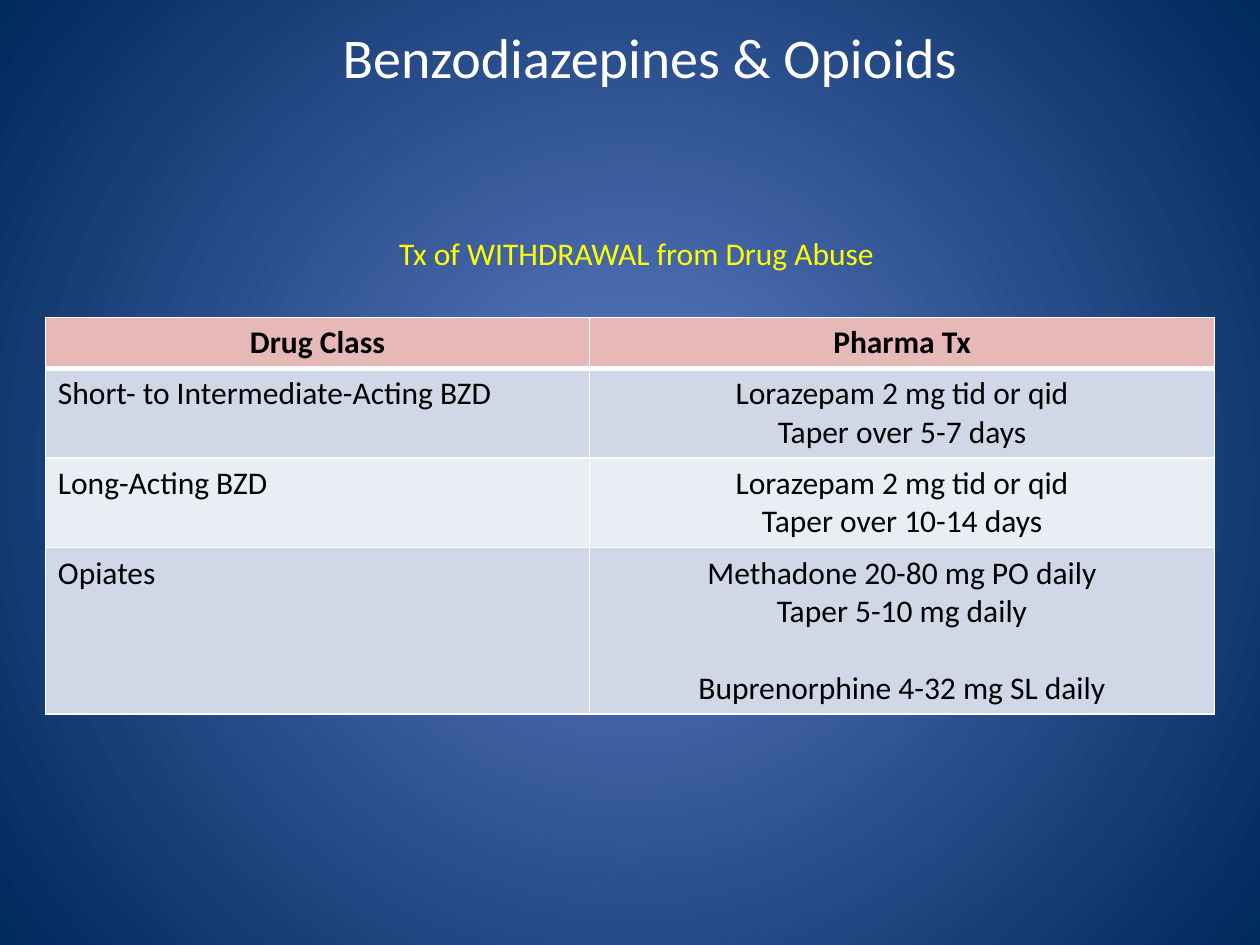
"""Build a slide on withdrawal treatment for benzodiazepines and opioids."""
import lxml.etree
import pptx
import pptx.dml.color
import pptx.enum.text
import pptx.oxml
import pptx.oxml.ns
import pptx.util

Inches, Pt = pptx.util.Inches, pptx.util.Pt
PP_ALIGN = pptx.enum.text.PP_ALIGN
ANCHOR = pptx.enum.text.MSO_ANCHOR

TITLE = "Benzodiazepines & Opioids"
SUBTITLE = "Tx of WITHDRAWAL from Drug Abuse"
HEADER = ("Drug Class", "Pharma Tx")
TREATMENTS = [
    ("Short- to Intermediate-Acting BZD", [["Lorazepam 2 mg tid or qid", "Taper over 5-7 days"]]),
    ("Long-Acting BZD", [["Lorazepam 2 mg tid or qid", "Taper over 10-14 days"]]),
    ("Opiates", [["Methadone 20-80 mg PO daily", "Taper 5-10 mg daily"],
                 ["Buprenorphine 4-32 mg SL daily"]]),
]
THEME = {
    "font": "Calibri", "title_size": 32, "body_size": 18, "line_gap": 22,
    "title": "FFFFFF", "subtitle": "FFFF00", "text": "000000", "border": "FFFFFF",
    "header": "E6B9B8", "bands": ("D0D8E8", "E9EDF4"),
    "center": "5E7CC5", "edge": "00295C",
}
SLIDE_W, SLIDE_H = 10, 7.5
COLUMNS = (4.32, 4.96)
LINE_H, CELL_PAD = 0.3, 0.1


def rgb(value):
    """Return a colour object for a hex value."""
    return pptx.dml.color.RGBColor.from_string(value)


def style(p, color, size=THEME["body_size"], bold=False, align=PP_ALIGN.LEFT):
    """Format a whole paragraph."""
    p.font.name, p.font.size, p.font.bold = THEME["font"], Pt(size), bold
    p.font.color.rgb = rgb(color)
    p.alignment = align


def place(sp, left, top, width, height):
    """Position a shape in inches."""
    sp.left, sp.top, sp.width, sp.height = map(Inches, (left, top, width, height))


def paint_background(slide):
    """Fill the background with a radial gradient."""
    fill = slide.background.fill
    fill.gradient()
    for stop, key in zip(fill.gradient_stops, ("center", "edge")):
        stop.color.rgb = rgb(THEME[key])
    grad = slide.background._cSld.find(".//" + pptx.oxml.ns.qn("a:gradFill"))
    grad.remove(grad.find(pptx.oxml.ns.qn("a:lin")))
    for stop, position in zip(fill.gradient_stops, (0, 1)):
        stop.position = position
    grad.append(pptx.oxml.parse_xml(
        f'<a:path {pptx.oxml.ns.nsdecls("a")} path="circle">'
        '<a:fillToRect l="50000" t="50000" r="50000" b="50000"/></a:path>'))


def fill_cell(cell, groups, fill, align, bold=False, bottom=1):
    """Write groups of lines, separated by a gap, and set fill and borders."""
    tf = cell.text_frame
    tf.text = "\n".join(line for group in groups for line in group)
    starts = [sum(map(len, groups[:i])) for i in range(1, len(groups))]
    for i, p in enumerate(tf.paragraphs):
        style(p, THEME["text"], bold=bold, align=align)
        if i in starts:
            p.space_before = Pt(THEME["line_gap"])
    cell.fill.solid()
    cell.fill.fore_color.rgb = rgb(fill)
    tc_pr = cell._tc.get_or_add_tcPr()
    for i, (side, width) in enumerate(zip("LRTB", (1, 1, 1, bottom))):
        tc_pr.insert(i, pptx.oxml.parse_xml(
            f'<a:ln{side} {pptx.oxml.ns.nsdecls("a")} w="{Pt(width)}"><a:solidFill>'
            f'<a:srgbClr val="{THEME["border"]}"/></a:solidFill></a:ln{side}>'))


def add_treatments(slide):
    """Add the table, with row heights following the number of lines."""
    counts = [1] + [sum(map(len, groups)) + len(groups) - 1 for _, groups in TREATMENTS]
    heights = [CELL_PAD + LINE_H * n for n in counts]
    width = sum(COLUMNS)
    frame = slide.shapes.add_table(len(heights), len(COLUMNS), Inches((SLIDE_W - width) / 2),
                                   Inches(2.52), Inches(width), Inches(sum(heights)))
    table = frame.table
    for column, w in zip(table.columns, COLUMNS):
        column.width = Inches(w)
    for row, h in zip(table.rows, heights):
        row.height = Inches(h)
    for c, label in enumerate(HEADER):
        fill_cell(table.cell(0, c), [[label]], THEME["header"], PP_ALIGN.CENTER, True, 3)
    for r, (drug, groups) in enumerate(TREATMENTS):
        band = THEME["bands"][r % 2]
        fill_cell(table.cell(r + 1, 0), [[drug]], band, PP_ALIGN.LEFT)
        fill_cell(table.cell(r + 1, 1), groups, band, PP_ALIGN.CENTER)


def main():
    """Assemble and save the slide."""
    prs = pptx.Presentation()
    prs.slide_width, prs.slide_height = Inches(SLIDE_W), Inches(SLIDE_H)
    slide = prs.slides.add_slide(prs.slide_layouts[5])
    paint_background(slide)

    title = slide.shapes.title
    place(title, 2.48, 0.1, 5.36, 0.69)
    title.text_frame.text = TITLE
    title.text_frame.vertical_anchor = ANCHOR.MIDDLE
    style(title.text_frame.paragraphs[0], THEME["title"], THEME["title_size"],
          align=PP_ALIGN.CENTER)

    add_treatments(slide)

    box = slide.shapes.add_textbox(Inches(3.07), Inches(1.81), Inches(4.1), Inches(0.4))
    tf = box.text_frame
    tf.word_wrap = True
    tf.auto_size = pptx.enum.text.MSO_AUTO_SIZE.SHAPE_TO_FIT_TEXT
    tf.text = SUBTITLE
    style(tf.paragraphs[0], THEME["subtitle"])

    prs.save("out.pptx")


if __name__ == "__main__":
    main()
